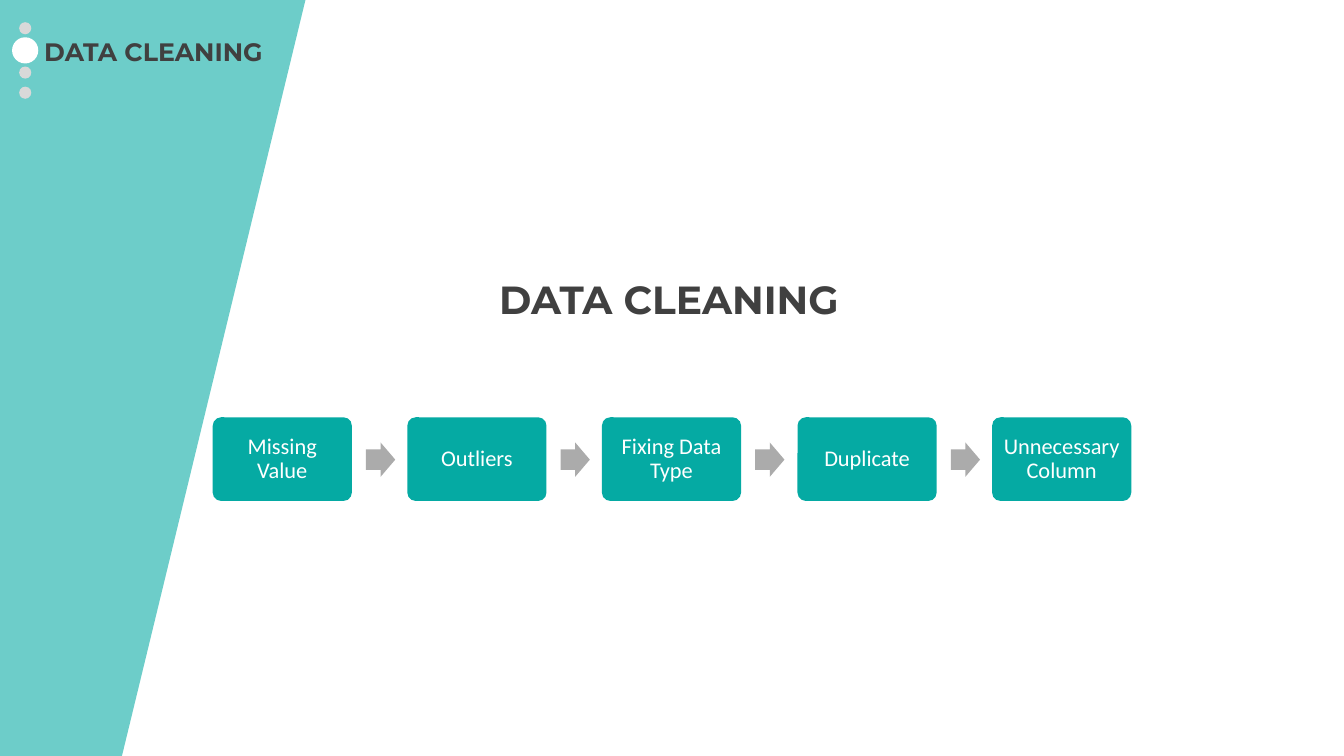
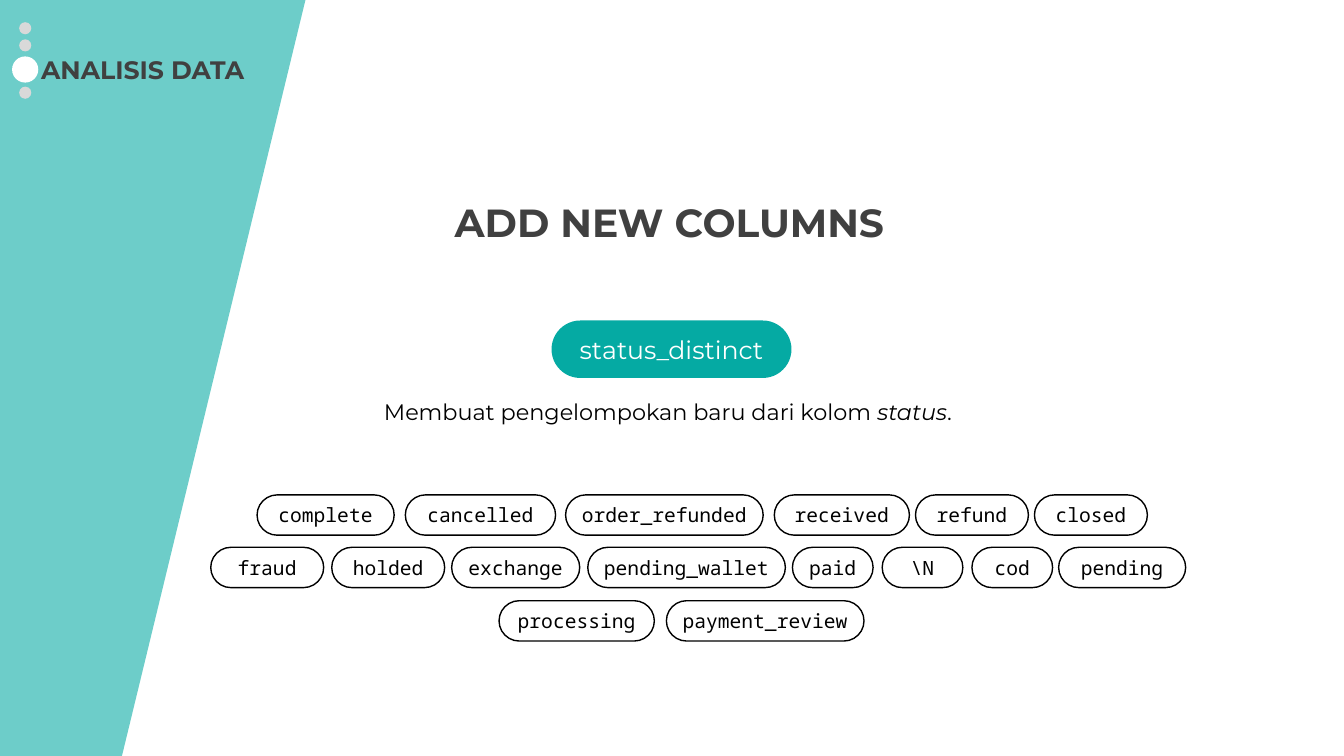
from lxml.etree import SubElement
from pptx import Presentation
from pptx.dml.color import RGBColor
from pptx.enum.shapes import MSO_SHAPE
from pptx.enum.text import MSO_ANCHOR, MSO_AUTO_SIZE, PP_ALIGN
from pptx.oxml.ns import qn
from pptx.util import Pt

PX = 9144
SLIDE_W, SLIDE_H = 1333, 750

TEAL = RGBColor(0x05, 0xAA, 0xA3)
CHARCOAL = RGBColor(0x40, 0x40, 0x40)
SILVER = RGBColor(0xD9, 0xD9, 0xD9)
ARROW_GRAY = RGBColor(0xAB, 0xAB, 0xAB)
WHITE = RGBColor(0xFF, 0xFF, 0xFF)
BLACK = RGBColor(0x00, 0x00, 0x00)

HEADING_FONT = "Montserrat"
STEP_FONT = "Calibri"
CODE_FONT = "Noto Sans Mono"

BAND_TOP, BAND_BOTTOM = 303, 121
BAND_ALPHA = 58000
DOT_X = 25
DOT_YS = (28, 45, 72, 92)
ACTIVE_YS = {1: 50, 2: 69}
DOT_SIZE, ACTIVE_SIZE = 12, 26

CLEANING_STEPS = ("Missing Value", "Outliers", "Fixing Data Type",
                  "Duplicate", "Unnecessary Column")
STATUS_ROWS = (
    (("complete", 46, 136), ("cancelled", 193, 149), ("order_refunded", 352, 196),
     ("received", 559, 134), ("refund", 699, 112), ("closed", 817, 112)),
    (("fraud", 0, 112), ("holded", 120, 112), ("exchange", 239, 127),
     ("pending_wallet", 374, 196), ("paid", 577, 80), ("\\N", 666, 80),
     ("cod", 755, 80), ("pending", 841, 126)),
    (("processing", 286, 154), ("payment_review", 452, 196)),
)


def px(*lengths):
    return [round(length * PX) for length in lengths]


def write(frame, text, *, font, size, color, bold=False, italic_word="",
          align=PP_ALIGN.LEFT, anchor=MSO_ANCHOR.TOP, inset=(10, 5),
          wrap=False, line_spacing=None):
    frame.word_wrap = wrap
    frame.auto_size = MSO_AUTO_SIZE.NONE
    frame.vertical_anchor = anchor
    frame.margin_left = frame.margin_right = inset[0] * PX
    frame.margin_top = frame.margin_bottom = inset[1] * PX
    paragraph = frame.paragraphs[0]
    paragraph.alignment = align
    if line_spacing:
        paragraph.line_spacing = line_spacing
    pieces = text.partition(italic_word) if italic_word else (text,)
    for piece in pieces:
        run = paragraph.add_run()
        run.text = piece
        run.font.name = font
        run.font.size = Pt(size)
        run.font.color.rgb = color
        run.font.bold = bold
        run.font.italic = bool(italic_word) and piece == italic_word


def paint(shape, fill=None, line=None):
    shape.shadow.inherit = False
    if fill is None:
        shape.fill.background()
    else:
        shape.fill.solid()
        shape.fill.fore_color.rgb = fill
    if line is None:
        shape.line.fill.background()
    else:
        shape.line.color.rgb = line
        shape.line.width = Pt(1)


def add_figure(slide, preset, box, *, fill=None, line=None, adjust=()):
    figure = slide.shapes.add_shape(preset, *px(*box))
    paint(figure, fill, line)
    for index, value in enumerate(adjust):
        figure.adjustments[index] = value
    return figure


def add_label(slide, box, text, **style):
    label = slide.shapes.add_textbox(*px(*box))
    write(label.text_frame, text, **style)


def add_band(slide):
    outline = slide.shapes.build_freeform(0, 0, scale=PX)
    outline.add_line_segments(
        [(BAND_TOP, 0), (BAND_BOTTOM, SLIDE_H), (0, SLIDE_H)], close=True)
    band = outline.convert_to_shape()
    paint(band, TEAL)
    tint = band._element.spPr.find(qn("a:solidFill")).find(qn("a:srgbClr"))
    SubElement(tint, qn("a:alpha")).set("val", str(BAND_ALPHA))


def add_progress(slide, active):
    for index, rest_y in enumerate(DOT_YS):
        is_active = index == active
        size = ACTIVE_SIZE if is_active else DOT_SIZE
        y = ACTIVE_YS[index] if is_active else rest_y
        add_figure(slide, MSO_SHAPE.OVAL,
                   (DOT_X - size // 2, y - size // 2, size, size),
                   fill=WHITE if is_active else SILVER)


def add_section_slide(deck, active, section, section_box, heading, heading_box):
    slide = deck.slides.add_slide(deck.slide_layouts[5])
    add_band(slide)
    add_progress(slide, active)
    add_label(slide, section_box, section, font=HEADING_FONT, size=18,
              color=CHARCOAL, bold=True)
    title = slide.shapes.title
    title.left, title.top, title.width, title.height = px(*heading_box)
    write(title.text_frame, heading, font=HEADING_FONT, size=28,
          color=CHARCOAL, bold=True)
    return slide


def add_step_flow(slide, box, steps):
    left, top, width, height = box
    step_w, arrow_w, arrow_h, arrow_offset = 138, 29, 34, 152
    pitch = (width - step_w) / (len(steps) - 1)
    for index, step in enumerate(steps):
        x = left + round(index * pitch)
        card = add_figure(slide, MSO_SHAPE.ROUNDED_RECTANGLE,
                          (x, top, step_w, height), fill=TEAL, adjust=(0.1,))
        write(card.text_frame, step, font=STEP_FONT, size=16, color=WHITE,
              align=PP_ALIGN.CENTER, anchor=MSO_ANCHOR.MIDDLE, inset=(7, 7),
              wrap=True, line_spacing=0.9)
        if index < len(steps) - 1:
            add_figure(slide, MSO_SHAPE.RIGHT_ARROW,
                       (x + arrow_offset, top + (height - arrow_h) // 2 + 1,
                        arrow_w, arrow_h),
                       fill=ARROW_GRAY, adjust=(0.6, 0.5))


def add_pill(slide, box, text, *, fill=None, line=None, **style):
    pill = add_figure(slide, MSO_SHAPE.ROUNDED_RECTANGLE, box,
                      fill=fill, line=line, adjust=(0.5,))
    write(pill.text_frame, text, align=PP_ALIGN.CENTER,
          anchor=MSO_ANCHOR.MIDDLE, **style)


def add_column_summary(slide, box):
    left, top, width, height = box
    add_pill(slide, (left + 176, top, 238, 57), "status_distinct", fill=TEAL,
             font=HEADING_FONT, size=18, color=WHITE)
    add_label(slide, (left, top + height - 37, width, 37),
              "Membuat pengelompokan baru dari kolom status.",
              font=HEADING_FONT, size=16, color=BLACK, italic_word="status")


def add_status_cloud(slide, box, rows):
    left, top, _, height = box
    pill_h = 40
    pitch = (height - pill_h) / (len(rows) - 1)
    for index, row in enumerate(rows):
        y = top + round(index * pitch)
        for status, offset, width in row:
            add_pill(slide, (left + offset, y, width, pill_h), status,
                     line=BLACK, font=CODE_FONT, size=14, color=BLACK)


def main():
    deck = Presentation()
    deck.slide_width, deck.slide_height = px(SLIDE_W, SLIDE_H)

    cleaning = add_section_slide(
        deck, 1, "DATA CLEANING", (34, 31, 241, 40),
        "DATA CLEANING", (485, 268, 364, 57))
    add_step_flow(cleaning, (211, 414, 911, 83), CLEANING_STEPS)

    analysis = add_section_slide(
        deck, 2, "ANALISIS DATA", (31, 49, 225, 40),
        "ADD NEW COLUMNS", (441, 192, 452, 57))
    add_column_summary(analysis, (371, 318, 592, 109))
    add_status_cloud(analysis, (209, 491, 967, 145), STATUS_ROWS)

    deck.save("out.pptx")


if __name__ == "__main__":
    main()
